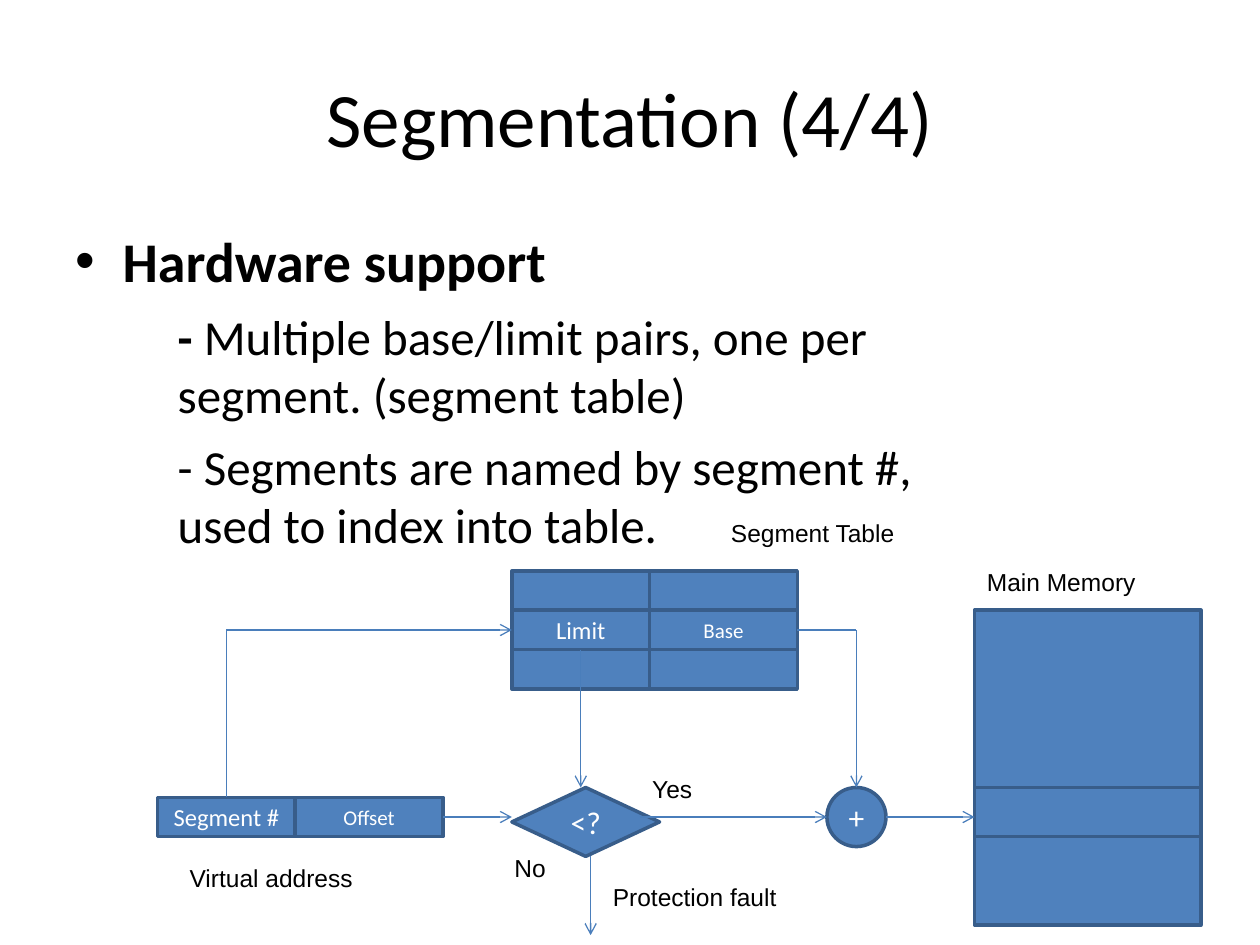
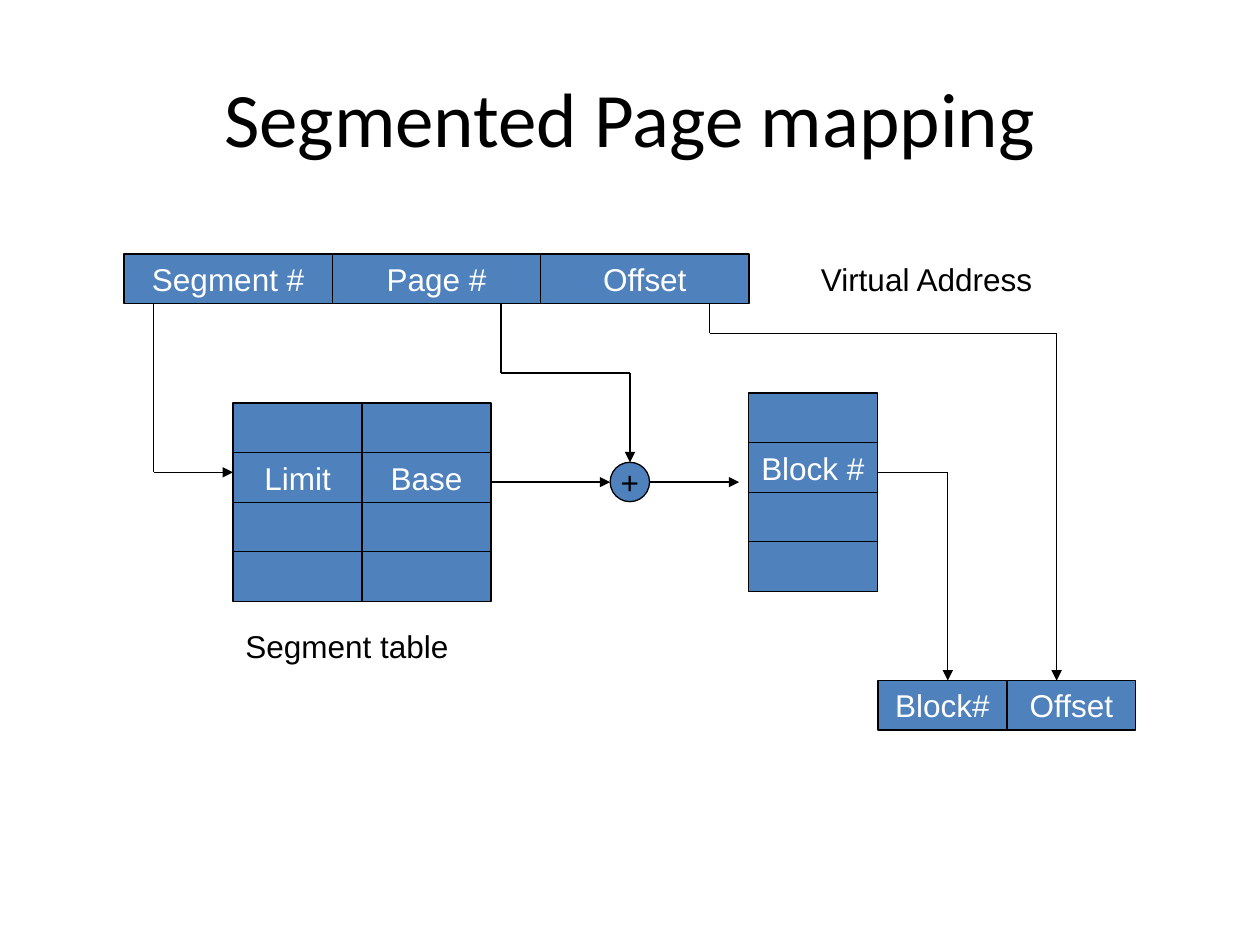
"""Build two slides on segmentation hardware and segmented page mapping."""
import lxml.etree
import pptx
import pptx.dml.color
import pptx.enum.shapes
import pptx.enum.text
import pptx.oxml.ns
import pptx.util

Pt = pptx.util.Pt
SHAPES = pptx.enum.shapes.MSO_SHAPE
ALIGN = pptx.enum.text.PP_ALIGN
ANCHOR = pptx.enum.text.MSO_ANCHOR
qn = pptx.oxml.ns.qn
rgb = pptx.dml.color.RGBColor.from_string
COLORS = {"text": "000000", "light": "FFFFFF", "fill": "4F81BD", "border": "385D8A", "arrow": "4A7EBB"}


def write(paragraph, text, *, size, font="Arial", color="text", bold=False):
    run = paragraph.add_run()
    run.text = text
    run.font.name = font
    run.font.size = Pt(size)
    run.font.bold = bold
    run.font.color.rgb = rgb(COLORS[color])


def add_box(slide, box, text="", *, kind=None, border="text", line_width=0.75,
            align=ALIGN.CENTER, anchor=ANCHOR.MIDDLE, wrap=True, **text_format):
    lengths = [Pt(length) for length in box]
    if kind is None:
        shape = slide.shapes.add_textbox(*lengths)
    else:
        shape = slide.shapes.add_shape(kind, *lengths)
        shape.shadow.inherit = False
        shape.fill.solid()
        shape.fill.fore_color.rgb = rgb(COLORS["fill"])
        shape.line.color.rgb = rgb(COLORS[border])
        shape.line.width = Pt(line_width)
    frame = shape.text_frame
    frame.word_wrap = wrap
    frame.vertical_anchor = anchor
    frame.paragraphs[0].alignment = align
    if text:
        write(frame.paragraphs[0], text, **text_format)
    return shape


presentation = pptx.Presentation()
presentation.slide_width = Pt(720)
presentation.slide_height = Pt(540)
slides = []
for title in ("Segmentation (4/4)", "Segmented Page mapping"):
    slide = presentation.slides.add_slide(presentation.slide_layouts[6])
    add_box(slide, (36, 21.6, 648, 90), title, size=44, font="Calibri")
    slides.append(slide)
hardware, mapping = slides

body = add_box(hardware, (36, 126, 504, 237.6), align=ALIGN.LEFT, anchor=ANCHOR.TOP).text_frame
heading = body.paragraphs[0]
properties = heading._p.get_or_add_pPr()
properties.set("marL", str(Pt(27)))
properties.set("indent", str(-Pt(27)))
lxml.etree.SubElement(properties, qn("a:buFont")).set("typeface", "Arial")
lxml.etree.SubElement(properties, qn("a:buChar")).set("char", "•")
write(heading, "Hardware support", size=32, font="Calibri", bold=True)
for dash_bold, point in (
    (True, "Multiple base/limit pairs, one per segment. (segment table)"),
    (False, "Segments are named by segment #, used to index into table."),
):
    paragraph = body.add_paragraph()
    paragraph.level = 1
    paragraph.space_before = Pt(7)
    properties = paragraph._p.get_or_add_pPr()
    properties.set("marL", str(Pt(58.5)))
    properties.set("indent", "0")
    lxml.etree.SubElement(properties, qn("a:buNone"))
    write(paragraph, "- ", size=28, font="Calibri", bold=dash_bold)
    write(paragraph, point, size=28, font="Calibri")

hardware_style = {"border": "border", "line_width": 2, "font": "Calibri", "color": "light"}
mapping_style = {"color": "light", "size": 18, "wrap": False}
field_widths = (78.75, 84.38)
field_height = 22.5
cell_width, cell_height = 73.7, 28.35
grids = [
    (hardware, 90, 455.62, field_widths, [field_height], [("Segment #", "Offset")]),
    (hardware, 292.5, 326.25, field_widths, [field_height] * 3, [("", ""), ("Limit", "Base"), ("", "")]),
    (hardware, 556.88, 348.75, [129.38], [101.25, 28.12, 50.62], [[""]] * 3),
    (mapping, 70.87, 145.2, [119.06] * 3, [cell_height], [("Segment #", "Page #", "Offset")]),
    (mapping, 133.2, 230.3, [cell_width] * 2, [cell_height] * 4,
     [("", ""), ("Limit", "Base"), ("", ""), ("", "")]),
    (mapping, 427.7, 224.6, [cell_width], [cell_height] * 4, [[""], ["Block #"], [""], [""]]),
    (mapping, 501.7, 388.9, [cell_width] * 2, [cell_height], [("Block#", "Offset")]),
]
for slide, left, top, widths, heights, rows in grids:
    for row, labels in enumerate(rows):
        for column, label in enumerate(labels):
            box = (left + sum(widths[:column]), top + sum(heights[:row]), widths[column], heights[row])
            if slide is hardware:
                style = {**hardware_style, "size": (14, 12)[column]}
            else:
                style = mapping_style
            add_box(slide, box, label, kind=SHAPES.RECTANGLE, **style)

add_box(hardware, (292.5, 450, 84.38, 39.38), "<?", kind=SHAPES.DIAMOND, size=18, **hardware_style)
add_box(hardware, (472.5, 450, 33.75, 33.75), "+", kind=SHAPES.OVAL, size=18, **hardware_style)
add_box(mapping, (348.7, 264.2, 22.5, 22.5), "+", kind=SHAPES.OVAL, size=18, wrap=False)

hardware_routes = [
    [(129.38, 455.62), (129.38, 360), (292.5, 360)],
    [(331.88, 371.25), (331.88, 450)],
    [(455.62, 360), (489.38, 360), (489.38, 450)],
    [(337.5, 489.38), (337.5, 534.38)],
    [(365.62, 466.88), (472.5, 466.88)],
    [(506.25, 466.88), (556.88, 466.88)],
    [(253.12, 466.88), (292.5, 466.88)],
]
mapping_routes = [
    [(87.9, 173.5), (87.9, 269.9), (133.2, 269.9)],
    [(280.6, 275.5), (348.7, 275.5)],
    [(286.3, 173.5), (286.3, 213.2), (360, 213.2), (360, 264.2)],
    [(371.2, 275.5), (422.4, 275.5)],
    [(501.6, 269.9), (541.6, 269.9), (541.6, 388.9)],
    [(405.5, 173.5), (405.5, 190.5), (603.8, 190.5), (603.8, 388.9)],
]
for slide, routes, color, head in (
    (hardware, hardware_routes, "arrow", "arrow"),
    (mapping, mapping_routes, "text", "triangle"),
):
    for route in routes:
        for start, end in zip(route, route[1:]):
            connector = slide.shapes.add_connector(
                pptx.enum.shapes.MSO_CONNECTOR.STRAIGHT, *[Pt(length) for length in start + end])
            connector.line.color.rgb = rgb(COLORS[color])
            connector.line.width = Pt(0.75)
            properties = connector._element.spPr
            if end == route[-1]:
                line = properties.find(qn("a:ln"))
                lxml.etree.SubElement(line, qn("a:tailEnd")).set("type", head)
            lxml.etree.SubElement(properties, qn("a:effectLst"))

for slide, text, left, top, width, height, size in (
    (hardware, "Virtual address", 101.25, 489.38, 129.38, 24.5, 14),
    (hardware, "Segment Table", 410.62, 292.5, 129.38, 24.5, 14),
    (hardware, "Yes", 365.62, 438.75, 61.88, 24.5, 14),
    (hardware, "No", 286.88, 483.75, 33.75, 24.5, 14),
    (hardware, "Protection fault", 343.12, 500.62, 129.38, 24.5, 14),
    (hardware, "Main Memory", 556.88, 320.62, 129.38, 24.5, 14),
    (mapping, "Virtual Address", 462, 145.2, 232.5, 29, 18),
    (mapping, "Segment table", 133.2, 355, 158.4, 29, 18),
):
    add_box(slide, (left, top, width, height), text, size=size, align=ALIGN.LEFT, anchor=ANCHOR.TOP)

presentation.save("out.pptx")
